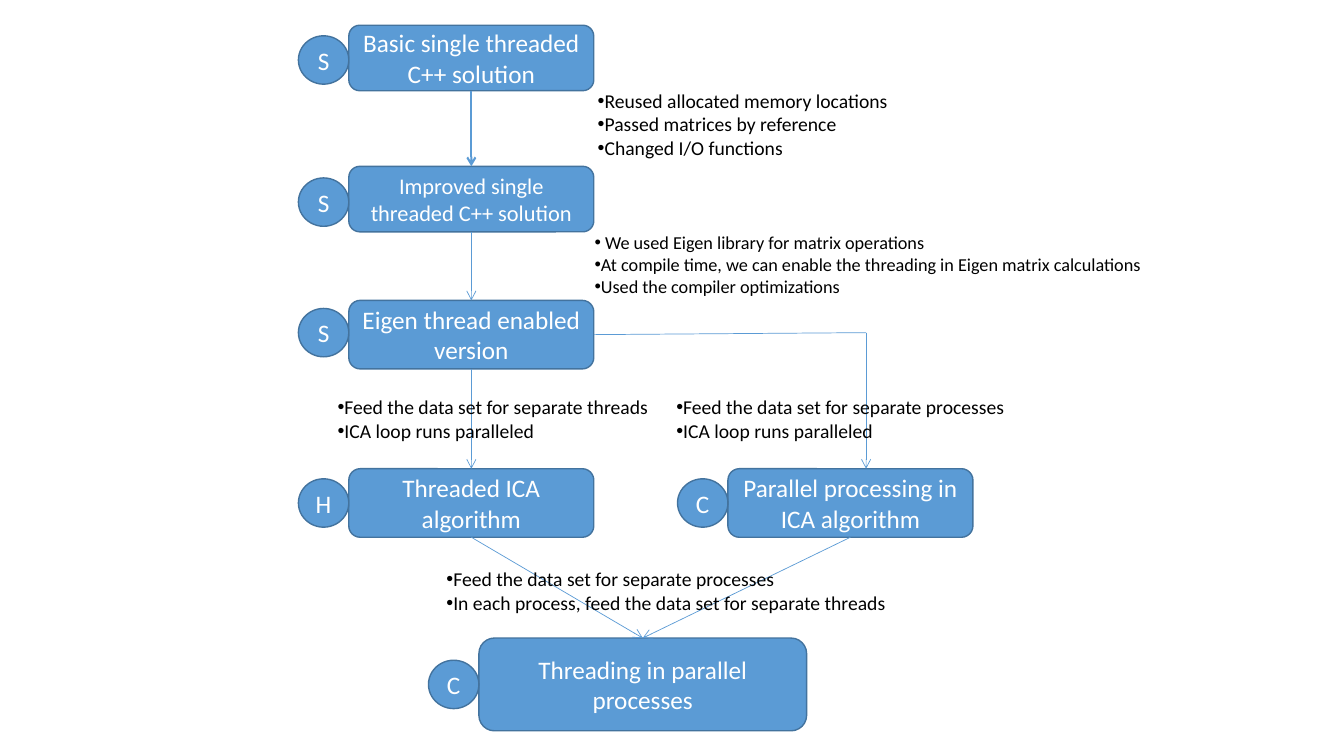
from dataclasses import dataclass

from lxml.etree import SubElement
from pptx import Presentation
from pptx.dml.color import RGBColor
from pptx.enum.shapes import MSO_CONNECTOR as Connector, MSO_SHAPE as Shape
from pptx.enum.text import MSO_ANCHOR as Anchor, MSO_AUTO_SIZE as AutoSize, PP_ALIGN as Align
from pptx.oxml.ns import qn
from pptx.util import Inches, Pt


@dataclass(frozen=True)
class Theme:
    font: str = "Calibri"
    fill: RGBColor = RGBColor(0x5B, 0x9B, 0xD5)
    outline: RGBColor = RGBColor(0x43, 0x73, 0x9E)
    light: RGBColor = RGBColor(0xFF, 0xFF, 0xFF)
    dark: RGBColor = RGBColor(0, 0, 0)
    box_size: float = 18
    small_box_size: float = 16
    note_size: float = 14
    small_note_size: float = 13
    outline_width: float = 1
    thin: float = 0.5
    thick: float = 1.5


THEME = Theme()
SLIDE_WIDTH, SLIDE_HEIGHT = 13.33, 7.5

# Grid, in inches: column -> (left, width), row -> (top, height)
COLUMNS = {"left": (3.46, 2.43), "right": (7.22, 2.43), "middle": (4.75, 3.25)}
ROWS = {"basic": (0.25, 0.65), "improved": (1.65, 0.65), "eigen": (2.98, 0.68),
        "parallel": (4.65, 0.68), "combined": (6.33, 0.92)}
BADGE_WIDTH, BADGE_HEIGHT = 0.5, 0.48
BRANCH_X = 8.59

# name: (text, column, row, size, badge letter, badge offset from the row's middle)
STAGES = {
    "basic": ("Basic single threaded C++ solution", "left", "basic", THEME.box_size, "S", 0.02),
    "improved": ("Improved single threaded C++ solution", "left", "improved",
                 THEME.small_box_size, "S", 0.03),
    "eigen": ("Eigen thread enabled version", "left", "eigen", THEME.box_size, "S", -0.02),
    "threads": ("Threaded ICA algorithm", "left", "parallel", THEME.box_size, "H", 0),
    "processes": ("Parallel processing in ICA algorithm", "right", "parallel",
                  THEME.box_size, "C", 0),
    "combined": ("Threading in parallel processes", "middle", "combined", THEME.box_size, "C", 0),
}
ARROWS = [
    ("basic", "improved", THEME.thick),
    ("improved", "eigen", THEME.thin),
    ("eigen", "threads", THEME.thin),
    ("threads", "combined", THEME.thin),
    ("processes", "combined", THEME.thin),
]
# (left, top, width, height), size, wrap, lines
NOTES = [
    ((5.83, 0.83, 4.08, 0.81), THEME.note_size, True,
     ["Reused allocated memory locations", "Passed matrices by reference",
      "Changed I/O functions"]),
    ((5.8, 2.25, 6.87, 0.76), THEME.small_note_size, True,
     [" We used Eigen library for matrix operations",
      "At compile time, we can enable the threading in Eigen matrix calculations",
      "Used the compiler optimizations"]),
    ((3.25, 3.87, 3.31, 0.57), THEME.note_size, False,
     ["Feed the data set for separate threads", "ICA loop runs paralleled"]),
    ((6.61, 3.87, 3.49, 0.57), THEME.note_size, False,
     ["Feed the data set for separate processes", "ICA loop runs paralleled"]),
    ((4.33, 5.58, 4.6, 0.57), THEME.note_size, False,
     ["Feed the data set for separate processes",
      "In each process, feed the data set for separate threads"]),
]


def write(paragraph, text, size, color):
    run = paragraph.add_run()
    run.text = text
    for name, value in {"name": THEME.font, "size": Pt(size)}.items():
        setattr(run.font, name, value)
    run.font.color.rgb = color


def add_node(slide, kind, place, text, size):
    shape = slide.shapes.add_shape(kind, *map(Inches, place))
    shape.shadow.inherit = False
    shape.fill.solid()
    shape.fill.fore_color.rgb = THEME.fill
    shape.line.color.rgb = THEME.outline
    shape.line.width = Pt(THEME.outline_width)
    frame = shape.text_frame
    for name, value in {"word_wrap": True, "vertical_anchor": Anchor.MIDDLE}.items():
        setattr(frame, name, value)
    frame.paragraphs[0].alignment = Align.CENTER
    write(frame.paragraphs[0], text, size, THEME.light)
    return shape


def add_stage(slide, text, column, row, size, letter, badge_offset):
    """Add a box with its round badge on the left; return the box."""
    (left, width), (top, height) = COLUMNS[column], ROWS[row]
    box = add_node(slide, Shape.ROUNDED_RECTANGLE, (left, top, width, height), text, size)
    badge_top = top + (height - BADGE_HEIGHT) / 2 + badge_offset
    add_node(slide, Shape.OVAL, (left - BADGE_WIDTH, badge_top, BADGE_WIDTH, BADGE_HEIGHT),
             letter, THEME.box_size)
    return box


def add_line(slide, start, end, width, arrow=True):
    line = slide.shapes.add_connector(Connector.STRAIGHT, *map(Inches, start + end))
    line.line.color.rgb = THEME.fill
    line.line.width = Pt(width)
    if arrow:
        SubElement(line.line._get_or_add_ln(), qn("a:tailEnd"), type="arrow")
    SubElement(line._element.spPr, qn("a:effectLst"))
    return line


def add_note(slide, place, size, wrap, lines):
    frame = slide.shapes.add_textbox(*map(Inches, place)).text_frame
    for name, value in {"word_wrap": wrap, "auto_size": AutoSize.SHAPE_TO_FIT_TEXT}.items():
        setattr(frame, name, value)
    for index, text in enumerate(lines):
        paragraph = frame.add_paragraph() if index else frame.paragraphs[0]
        properties = paragraph._p.get_or_add_pPr()
        SubElement(properties, qn("a:buFont"), typeface="Arial")
        SubElement(properties, qn("a:buChar"), char="•")
        write(paragraph, text, size, THEME.dark)


def main():
    presentation = Presentation()
    presentation.slide_width = Inches(SLIDE_WIDTH)
    presentation.slide_height = Inches(SLIDE_HEIGHT)
    slide = presentation.slides.add_slide(presentation.slide_layouts[6])

    boxes = {name: add_stage(slide, *stage) for name, stage in STAGES.items()}
    for source, target, width in ARROWS:
        arrow = add_line(slide, (0, 0), (0, 0), width)
        arrow.begin_connect(boxes[source], 2)
        arrow.end_connect(boxes[target], 0)

    corner = (BRANCH_X, 3.3)
    branch = add_line(slide, corner, corner, THEME.thin, arrow=False)
    branch.begin_connect(boxes["eigen"], 3)
    add_line(slide, corner, (BRANCH_X, ROWS["parallel"][0]), THEME.thin)

    for note in NOTES:
        add_note(slide, *note)
    presentation.save("out.pptx")


if __name__ == "__main__":
    main()
